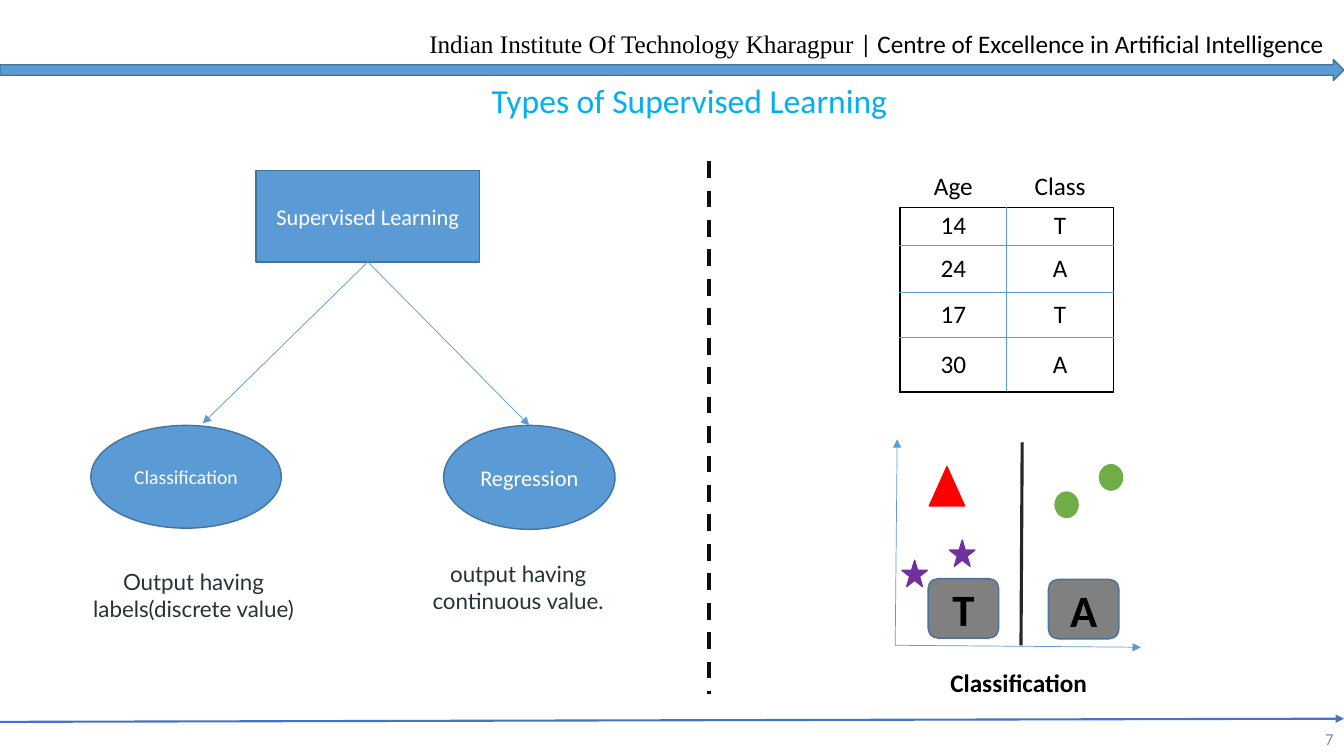
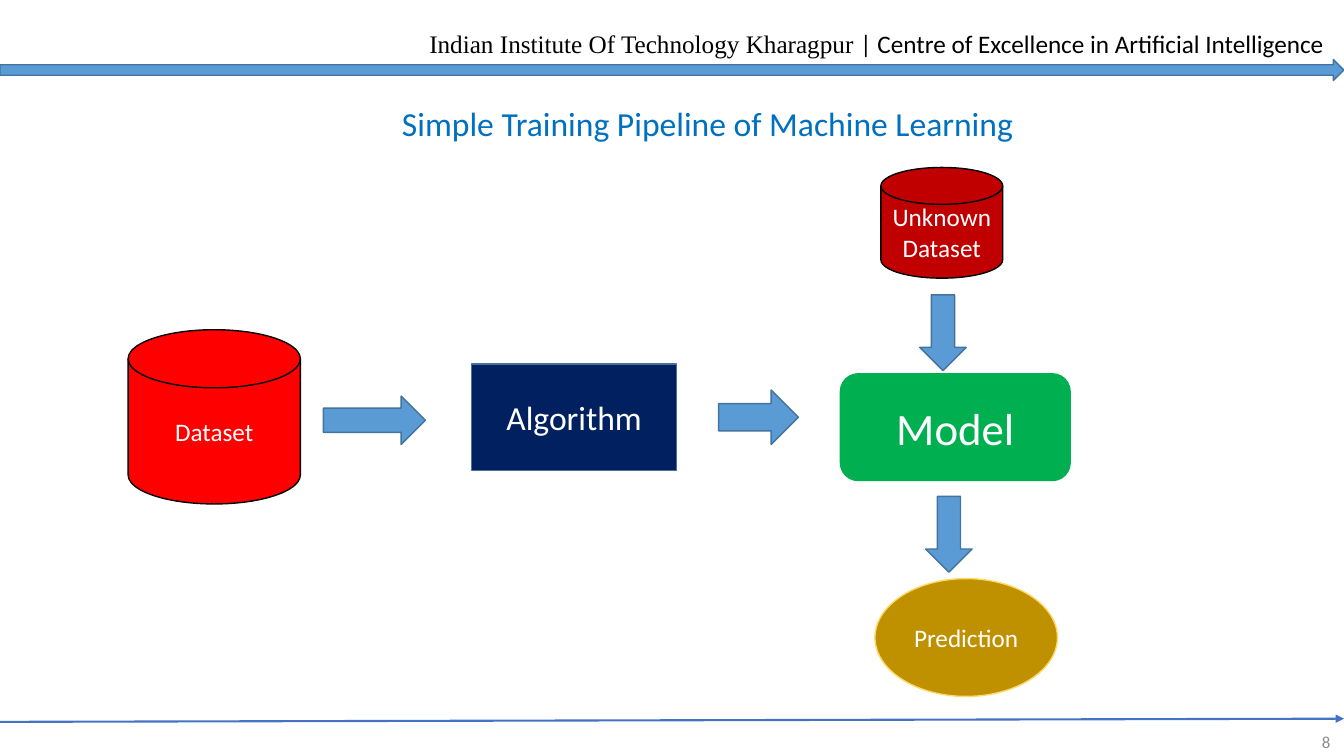
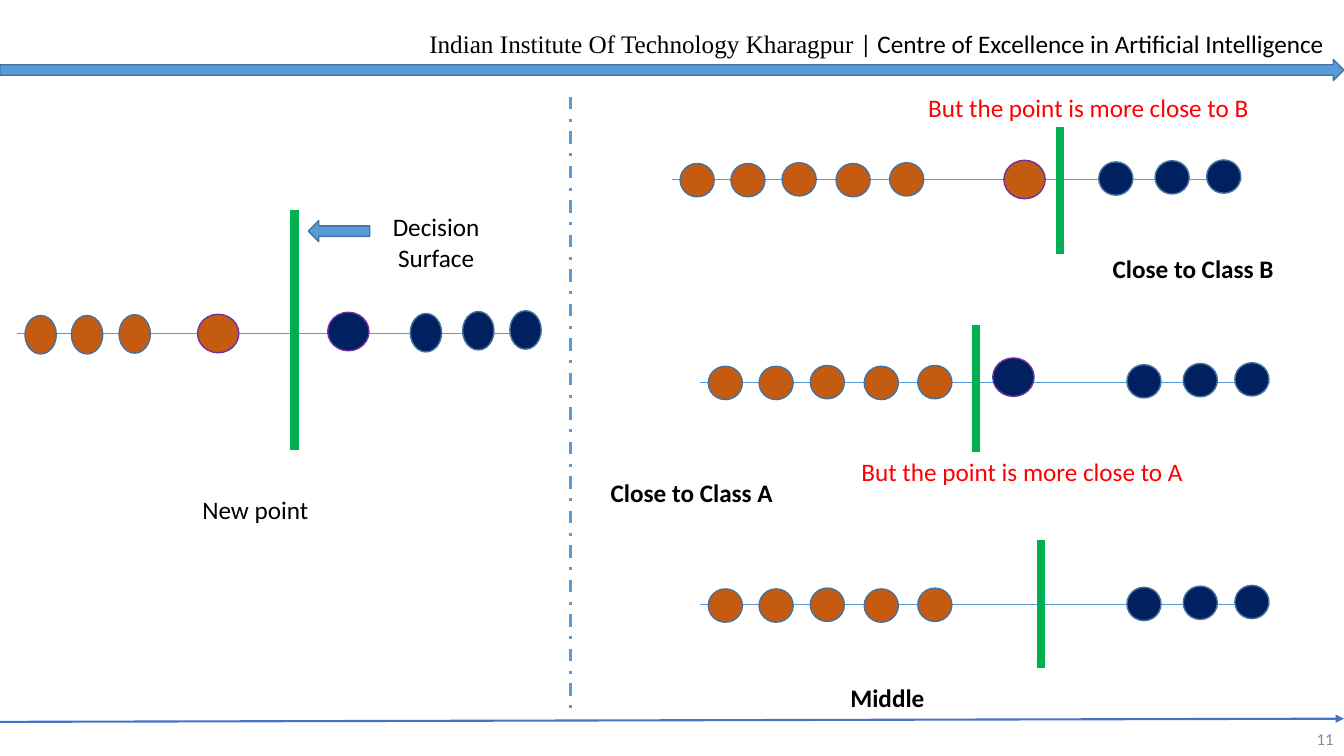
from lxml import etree
from pptx import Presentation
from pptx.dml.color import RGBColor
from pptx.enum.dml import MSO_LINE
from pptx.enum.shapes import MSO_CONNECTOR, MSO_SHAPE
from pptx.enum.text import MSO_ANCHOR, MSO_AUTO_SIZE, PP_ALIGN
from pptx.oxml.ns import qn
from pptx.util import Cm, Pt

STRAIGHT = MSO_CONNECTOR.STRAIGHT
RECTANGLE, ELLIPSE, STAR = MSO_SHAPE.RECTANGLE, MSO_SHAPE.OVAL, MSO_SHAPE.STAR_5_POINT
TRIANGLE, DOT = MSO_SHAPE.ISOSCELES_TRIANGLE, MSO_SHAPE.FLOWCHART_CONNECTOR
DISK, ROUNDED = MSO_SHAPE.FLOWCHART_MAGNETIC_DISK, MSO_SHAPE.FLOWCHART_ALTERNATE_PROCESS
RIGHT_ARROW, LEFT_ARROW, DOWN_ARROW = (
    MSO_SHAPE.RIGHT_ARROW, MSO_SHAPE.LEFT_ARROW, MSO_SHAPE.DOWN_ARROW)
DASH, DASH_DOT = MSO_LINE.DASH, MSO_LINE.DASH_DOT
LEFT, CENTER, RIGHT = PP_ALIGN.LEFT, PP_ALIGN.CENTER, PP_ALIGN.RIGHT
TOP, MIDDLE = MSO_ANCHOR.TOP, MSO_ANCHOR.MIDDLE
FIT_TEXT = MSO_AUTO_SIZE.SHAPE_TO_FIT_TEXT

COLORS = {
    "black": "000000", "white": "FFFFFF", "gray": "808080", "number": "8C8C8C",
    "blue": "5B9BD5", "outline": "43739E", "footer": "4472C4",
    "sky": "00B0F0", "title": "0070C0", "navy": "002060",
    "red": "FF0000", "dark red": "C00000", "orange": "C55A11",
    "gold": "BF9000", "light gold": "FFD966", "purple": "7030A0",
    "green": "00B050", "leaf": "70AD47",
    "slate": "273239", "divider": "0D0D0D", "boundary": "262626",
}
SLIDE_WIDTH, SLIDE_HEIGHT = 33.87, 19.05
BODY_FONT, SERIF_FONT, NOTE_FONT = "Calibri", "Times New Roman", "Lato"

# Circles on an axis: distance from its left end, and top relative to it
LONG_ROW = {
    "orange": [(0.2, -0.4), (1.48, -0.4), (2.77, -0.42), (4.13, -0.4), (5.48, -0.42)],
    "navy": [(10.75, -0.44), (12.17, -0.47), (13.47, -0.49)],
}
SHORT_ROW = {
    "orange": [(0.2, -0.46), (1.37, -0.46), (2.57, -0.48)],
    "navy": [(9.91, -0.51), (11.23, -0.56), (12.42, -0.58)],
}


def rgb(color):
    return RGBColor.from_string(COLORS[color])


def add_run(paragraph, text, size, color="black", font=BODY_FONT, bold=False):
    run = paragraph.add_run()
    run.text = text
    run.font.size = Pt(size)
    run.font.name = font
    run.font.bold = bold
    run.font.color.rgb = rgb(color)


def add_text(slide, box, text, size=18, color="black", font=BODY_FONT, bold=False,
             align=LEFT, anchor=TOP, wrap=True):
    """Add a text box and return its paragraph, so that runs can follow."""
    frame = slide.shapes.add_textbox(*map(Cm, box)).text_frame
    frame.word_wrap = wrap
    frame.vertical_anchor = anchor
    if anchor == TOP:
        frame.auto_size = FIT_TEXT
    paragraph = frame.paragraphs[0]
    paragraph.alignment = align
    add_run(paragraph, text, size, color, font, bold)
    return paragraph


def add_shape(slide, kind, box, fill="blue", line="outline", text="", size=18,
              color="white", bold=False):
    shape = slide.shapes.add_shape(kind, *map(Cm, box))
    shape.shadow.inherit = False
    shape.fill.solid()
    shape.fill.fore_color.rgb = rgb(fill)
    shape.line.color.rgb = rgb(line)
    shape.line.width = Pt(1)
    if text:
        frame = shape.text_frame
        frame.word_wrap = True
        frame.vertical_anchor = MIDDLE
        frame.paragraphs[0].alignment = CENTER
        add_run(frame.paragraphs[0], text, size, color, bold=bold)
    return shape


def add_line(slide, start, end, color="blue", width=0.5, dash=None, arrow=False):
    line = slide.shapes.add_connector(STRAIGHT, *map(Cm, (*start, *end)))
    line.line.color.rgb = rgb(color)
    line.line.width = Pt(width)
    if dash is not None:
        line.line.dash_style = dash
    if arrow:
        etree.SubElement(line.line._get_or_add_ln(), qn("a:tailEnd"), type="triangle")
    etree.SubElement(line._element.spPr, qn("a:effectLst"))
    return line


def set_border(cell, side, color, width):
    """Draw one side (L, R, T or B) of a cell; no colour means no line."""
    border = etree.SubElement(cell._tc.get_or_add_tcPr(), qn(f"a:ln{side}"),
                              w=str(Pt(width)))
    if color is None:
        etree.SubElement(border, qn("a:noFill"))
    else:
        fill = etree.SubElement(border, qn("a:solidFill"))
        etree.SubElement(fill, qn("a:srgbClr"), val=COLORS[color])


def add_framed_table(slide, left, top, column_width, row_heights, rows):
    """Add a table whose body has a black frame and whose header has none."""
    last_row, last_column = len(rows) - 1, len(rows[0]) - 1
    table = slide.shapes.add_table(
        len(rows), len(rows[0]), Cm(left), Cm(top),
        Cm(column_width * len(rows[0])), Cm(sum(row_heights))).table
    table.first_row = table.horz_banding = False
    for column in table.columns:
        column.width = Cm(column_width)
    for row_index, (height, values) in enumerate(zip(row_heights, rows)):
        table.rows[row_index].height = Cm(height)
        for column_index, value in enumerate(values):
            cell = table.cell(row_index, column_index)
            on_frame = {"L": column_index == 0, "R": column_index == last_column,
                        "T": row_index == 1, "B": row_index in (0, last_row)}
            for side, framed in on_frame.items():
                if row_index == 0 and side != "B":
                    set_border(cell, side, None, 0)
                elif framed:
                    set_border(cell, side, "black", 1.5)
                else:
                    set_border(cell, side, "blue", 0.5)
            cell.fill.background()
            cell.margin_top = cell.margin_bottom = 0
            cell.vertical_anchor = MIDDLE
            paragraph = cell.text_frame.paragraphs[0]
            paragraph.alignment = CENTER
            add_run(paragraph, value, 18)


def add_point_row(slide, left, axis, length, circles, width, height):
    add_line(slide, (left, axis), (left + length, axis))
    for color, places in circles.items():
        for offset, rise in places:
            add_shape(slide, ELLIPSE, (left + offset, axis + rise, width, height), color)


def add_framed_slide(presentation, number, number_left=26.24, number_top=18.11):
    """Add a blank slide with the header, its arrow band, the footer and the number."""
    slide = presentation.slides.add_slide(presentation.slide_layouts[6])
    header = add_text(slide, (10.57, 0.58, 23.32, 1.02),
                      "Indian Institute Of Technology Kharagpur ",
                      font=SERIF_FONT, wrap=False)
    add_run(header, "| Centre of Excellence in Artificial Intelligence", 18)
    add_shape(slide, RIGHT_ARROW, (0, 1.5, SLIDE_WIDTH, 0.53))
    add_line(slide, (0, 18.19), (SLIDE_WIDTH, 18.11), "footer", 1.5, arrow=True)
    add_text(slide, (number_left, number_top, 7.62, 1.02), number, 12, "number",
             align=RIGHT, anchor=MIDDLE)
    return slide


def add_class_plot(slide):
    origin = (22.56, 16.26)
    for axis_end in [(28.75, 16.31), (22.61, 11.07)]:
        add_line(slide, origin, axis_end, arrow=True)
    for left, top in [(22.73, 14.12), (23.93, 13.61)]:
        add_shape(slide, STAR, (left, top, 0.64, 0.66), "purple", "purple")
    for left, top in [(26.59, 12.4), (27.71, 11.71)]:
        add_shape(slide, DOT, (left, top, 0.58, 0.64), "leaf", "leaf")
    add_line(slide, (25.76, 11.15), (25.73, 16.26), "boundary", 2.25)
    add_shape(slide, TRIANGLE, (23.42, 11.76, 0.89, 0.99), "red", "red")
    add_text(slide, (23.7, 16.69, 3.99, 1.02), "Classification", bold=True, wrap=False)
    for letter, left, top in [("T", 23.39, 14.58), ("A", 26.42, 14.6)]:
        add_shape(slide, ROUNDED, (left, top, 1.78, 1.5), "gray", text=letter, size=32,
                  color="black", bold=True)


def build_types(presentation):
    slide = add_framed_slide(presentation, "7")
    add_line(slide, (17.86, 4.06), (17.86, 17.5), "divider", 3, DASH)
    add_text(slide, (12.14, 1.88, 10.59, 1.27), "Types of Supervised Learning", 24, "sky",
             wrap=False)
    root = add_shape(slide, RECTANGLE, (6.45, 4.29, 5.64, 2.31),
                     text="Supervised Learning", size=16)
    add_shape(slide, ELLIPSE, (2.29, 10.72, 4.8, 2.59), text="Classification", size=14)
    regression = add_shape(slide, ELLIPSE, (11.18, 10.72, 4.32, 2.62),
                           text="Regression", size=16)
    branches = [add_line(slide, (9.27, 6.6), end, arrow=True)
                for end in [(5.11, 10.67), (13.34, 10.72)]]
    for branch in branches:
        branch.begin_connect(root, 2)
    branches[1].end_connect(regression, 0)
    for box, note in [
        ((10.29, 14, 5.54, 1.63), "output having continuous value."),
        ((1.5, 14.2, 6.76, 1.63), "Output having labels(discrete value)"),
    ]:
        add_text(slide, box, note, 16, "slate", NOTE_FONT, align=CENTER)
    add_framed_table(slide, 22.68, 4.19, 2.69, [1.04, 0.94, 1.19, 1.14, 1.37],
                     [("Age", "Class"), ("14", "T"), ("24", "A"), ("17", "T"), ("30", "A")])
    add_class_plot(slide)


def build_pipeline(presentation):
    slide = add_framed_slide(presentation, "8", 26.16, 18.19)
    add_text(slide, (9.88, 2.46, 16.08, 1.27),
             "Simple Training Pipeline of Machine Learning", 24, "title", wrap=False)
    for kind, box, fill, line, text, size in [
        (DISK, (3.23, 8.31, 4.34, 4.39), "red", "black", "Dataset", 18),
        (RECTANGLE, (11.89, 9.17, 5.16, 2.69), "navy", "outline", "Algorithm", 24),
        (ROUNDED, (21.18, 9.42, 5.79, 2.69), "green", "green", "Model", 32),
        (DISK, (22.2, 4.22, 3.07, 2.79), "dark red", "black", "Unknown Dataset", 18),
        (ELLIPSE, (22.05, 14.58, 4.6, 2.97), "gold", "light gold", "Prediction", 18),
    ]:
        add_shape(slide, kind, box, fill, line, text, size)
    for kind, box in [
        (RIGHT_ARROW, (8.15, 9.98, 2.57, 1.22)),
        (RIGHT_ARROW, (18.11, 9.83, 2.01, 1.37)),
        (DOWN_ARROW, (23.18, 7.43, 1.17, 1.91)),
        (DOWN_ARROW, (23.33, 12.51, 1.17, 1.91)),
    ]:
        add_shape(slide, kind, box)


def build_decision_surface(presentation):
    slide = add_framed_slide(presentation, "11")
    add_line(slide, (14.38, 2.44), (14.38, 17.91), width=2.25, dash=DASH_DOT)
    for left, axis in [(16.94, 4.52), (17.65, 9.63), (17.65, 15.24)]:
        add_point_row(slide, left, axis, 14.35, LONG_ROW, 0.86, 0.84)
    add_point_row(slide, 0.43, 8.41, 13.24, SHORT_ROW, 0.79, 0.97)
    for x, top, bottom in [(7.42, 5.28, 11.33), (26.72, 3.2, 6.4),
                           (24.59, 8.2, 11.4), (26.24, 13.61, 16.84)]:
        add_line(slide, (x, top), (x, bottom), "green", 6)
    for left, top, fill in [(4.98, 7.92, "orange"), (8.26, 7.87, "navy"),
                            (25.3, 4.04, "orange"), (25.02, 9.02, "navy")]:
        add_shape(slide, ELLIPSE, (left, top, 1.04, 0.97), fill, "purple")
    add_shape(slide, LEFT_ARROW, (7.77, 5.56, 1.55, 0.53))
    add_text(slide, (9.35, 5.21, 3.28, 1.8), "Decision Surface", align=CENTER)
    add_text(slide, (4.85, 12.32, 4.52, 1.02), "New point")
    for left, top, width, text, color, bold in [
        (27.79, 6.27, 4.6, "Close to Class B", "black", True),
        (15.14, 11.91, 4.62, "Close to Class A", "black", True),
        (21.18, 17.07, 2.39, "Middle", "black", True),
        (23.14, 2.21, 8.69, "But the point is more close to B", "red", False),
        (21.46, 11.38, 8.71, "But the point is more close to A", "red", False),
    ]:
        add_text(slide, (left, top, width, 1.02), text, color=color, bold=bold, wrap=False)


def main():
    presentation = Presentation()
    presentation.slide_width = Cm(SLIDE_WIDTH)
    presentation.slide_height = Cm(SLIDE_HEIGHT)
    build_types(presentation)
    build_pipeline(presentation)
    build_decision_surface(presentation)
    presentation.save("out.pptx")


if __name__ == "__main__":
    main()
